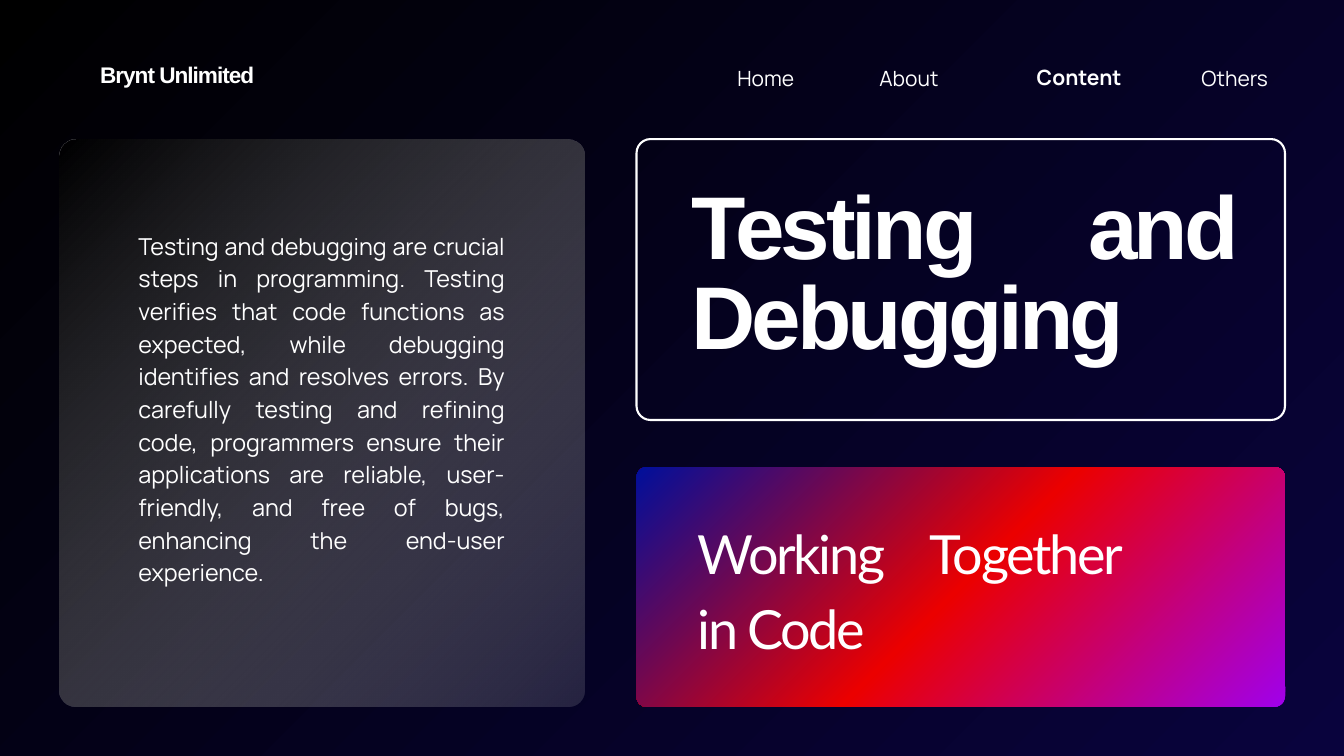
import pptx
import pptx.dml.color
import pptx.enum.shapes
import pptx.enum.text
import pptx.oxml
import pptx.oxml.ns
import pptx.util

Pt = pptx.util.Pt
ALIGN = pptx.enum.text.PP_ALIGN
WHITE = "FFFFFF"
LINEAR = '<a:lin ang="2700000" scaled="0"/>'
FROM_CORNER = '<a:path path="circle"><a:fillToRect r="100000" b="100000"/></a:path>'


def color(value):
    return pptx.dml.color.RGBColor.from_string(value)


def set_gradient(parent, stops, direction):
    """Replace the solid fill in parent; stops are (position %, colour, opacity %)."""
    stop_xml = "".join(
        f'<a:gs pos="{position * 1000}"><a:srgbClr val="{value}">'
        f'<a:alpha val="{opacity * 1000}"/></a:srgbClr></a:gs>'
        for position, value, opacity in stops)
    gradient = pptx.oxml.parse_xml(
        f'<a:gradFill {pptx.oxml.ns.nsdecls("a")} rotWithShape="1">'
        f'<a:gsLst>{stop_xml}</a:gsLst>{direction}</a:gradFill>')
    parent.replace(parent.find(pptx.oxml.ns.qn("a:solidFill")), gradient)


deck = pptx.Presentation()
deck.slide_width, deck.slide_height = Pt(1440), Pt(810)
page = deck.slides.add_slide(deck.slide_layouts[6])

page.background.fill.solid()
set_gradient(page.element.xpath(".//p:bgPr")[0],
             [(0, "000000", 100), (100, "09033D", 100)], FROM_CORNER)

# Cards: left, top, width, height, corner radius, gradient stops, direction
cards = [
    (63.4, 149, 562.3, 608.4, 18,
     [(0, "000000", 78), (100, "DDDDDD", 15)], LINEAR),
    (682, 500.4, 694.8, 257, 11,
     [(0, "000F9B", 100), (50, "EB0000", 100), (100, "A000EB", 100)], FROM_CORNER),
    (682, 149, 694.8, 301, 15, None, None),
]
for left, top, width, height, radius, stops, direction in cards:
    card = page.shapes.add_shape(
        pptx.enum.shapes.MSO_SHAPE.ROUNDED_RECTANGLE,
        Pt(left), Pt(top), Pt(width), Pt(height))
    card.adjustments[0] = radius / min(width, height)
    card.shadow.inherit = False
    if stops:
        card.fill.solid()
        set_gradient(card.element.spPr, stops, direction)
        card.line.fill.background()
    else:
        card.fill.background()
        card.line.color.rgb = color(WHITE)
        card.line.width = Pt(2.25)

body = ("Testing and debugging are crucial steps in programming. Testing verifies "
        "that code functions as expected, while debugging identifies and resolves "
        "errors. By carefully testing and refining code, programmers ensure their "
        "applications are reliable, user-friendly, and free of bugs, enhancing the "
        "end-user experience.")

# Texts: wording, left, top, width, height, font, size, bold, line pitch, tracking, alignment
texts = [
    ("Brynt Unlimited", 107.3, 60.5, 211.7, 35.3,
     "Arial", 24.2, True, 33.9, -1.1, ALIGN.LEFT),
    ("Home", 720, 66.2, 131, 32.4, "Manrope", 22.5, False, 31.5, 0, ALIGN.RIGHT),
    ("About", 898.6, 66.2, 150.5, 32.4, "Manrope", 22.5, False, 31.5, 0, ALIGN.CENTER),
    ("Content", 1080.7, 64.8, 151.2, 32.4, "Manrope", 22.5, True, 31.5, 0, ALIGN.CENTER),
    ("Others", 1183.7, 66.2, 175, 32.4, "Manrope", 22.5, False, 31.5, 0, ALIGN.RIGHT),
    (body, 148.3, 243.4, 392.4, 414, "Manrope", 25, False, 35, 0, ALIGN.JUSTIFY),
    ("Testing and Debugging", 740.9, 199.4, 581.8, 205.2,
     "Arial", 95.4, True, 97.3, -4.3, ALIGN.JUSTIFY),
    ("Working Together in Code", 747.4, 545.8, 452.2, 158.4,
     "Lato", 57.8, False, 80.8, -2.5, ALIGN.JUSTIFY),
]
for wording, left, top, width, height, face, size, bold, pitch, tracking, align in texts:
    box = page.shapes.add_textbox(Pt(left), Pt(top), Pt(width), Pt(height))
    frame = box.text_frame
    frame.word_wrap = True
    frame.auto_size = pptx.enum.text.MSO_AUTO_SIZE.SHAPE_TO_FIT_TEXT
    frame.margin_left = frame.margin_top = frame.margin_right = frame.margin_bottom = 0
    para = frame.paragraphs[0]
    para.text = wording
    para.alignment = align
    para.line_spacing = Pt(pitch)
    para.font.name = face
    para.font.size = Pt(size)
    para.font.bold = bold
    para.font.color.rgb = color(WHITE)
    if tracking:
        para._p.pPr.get_or_add_defRPr().set("spc", str(round(tracking * 100)))

deck.save("out.pptx")
